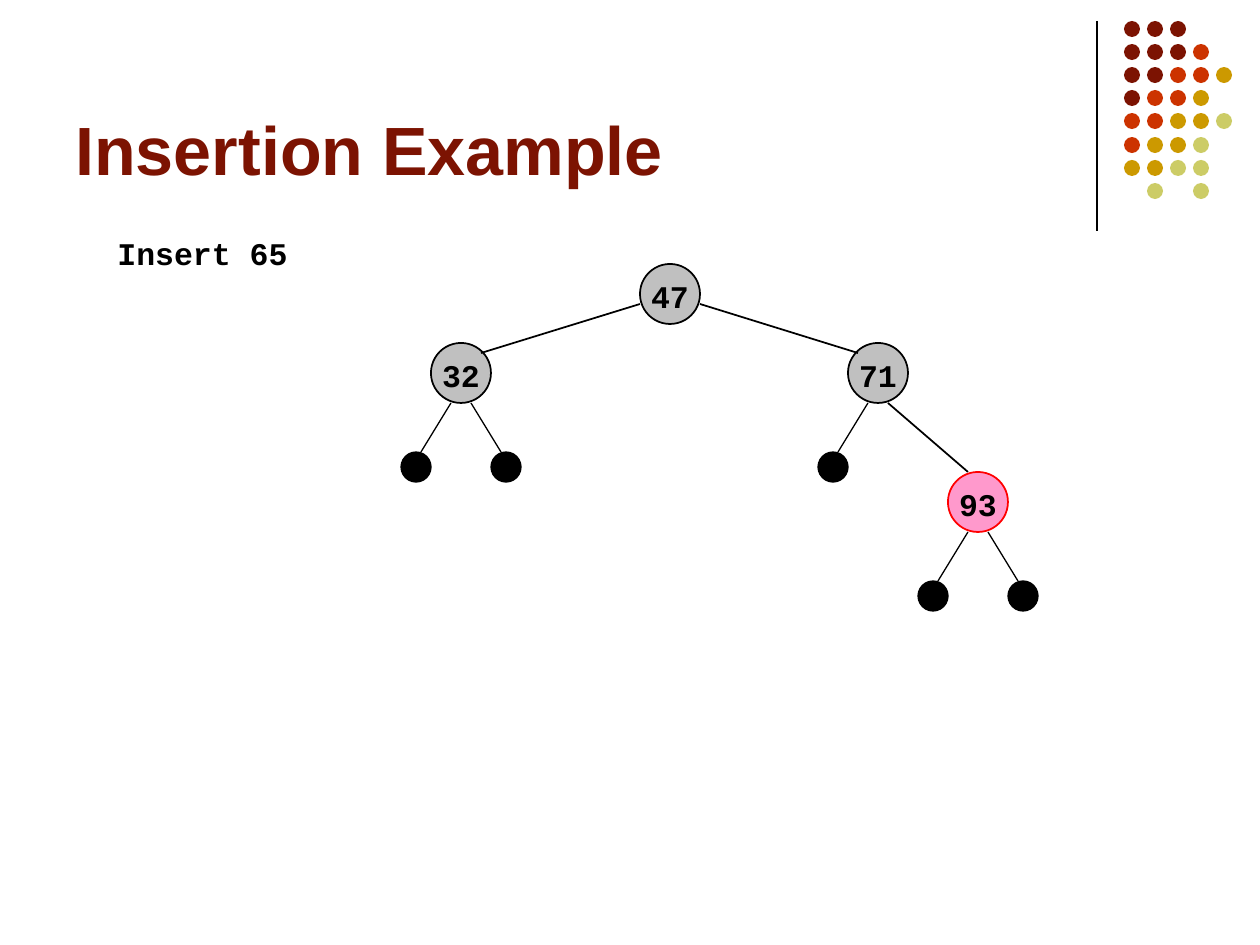
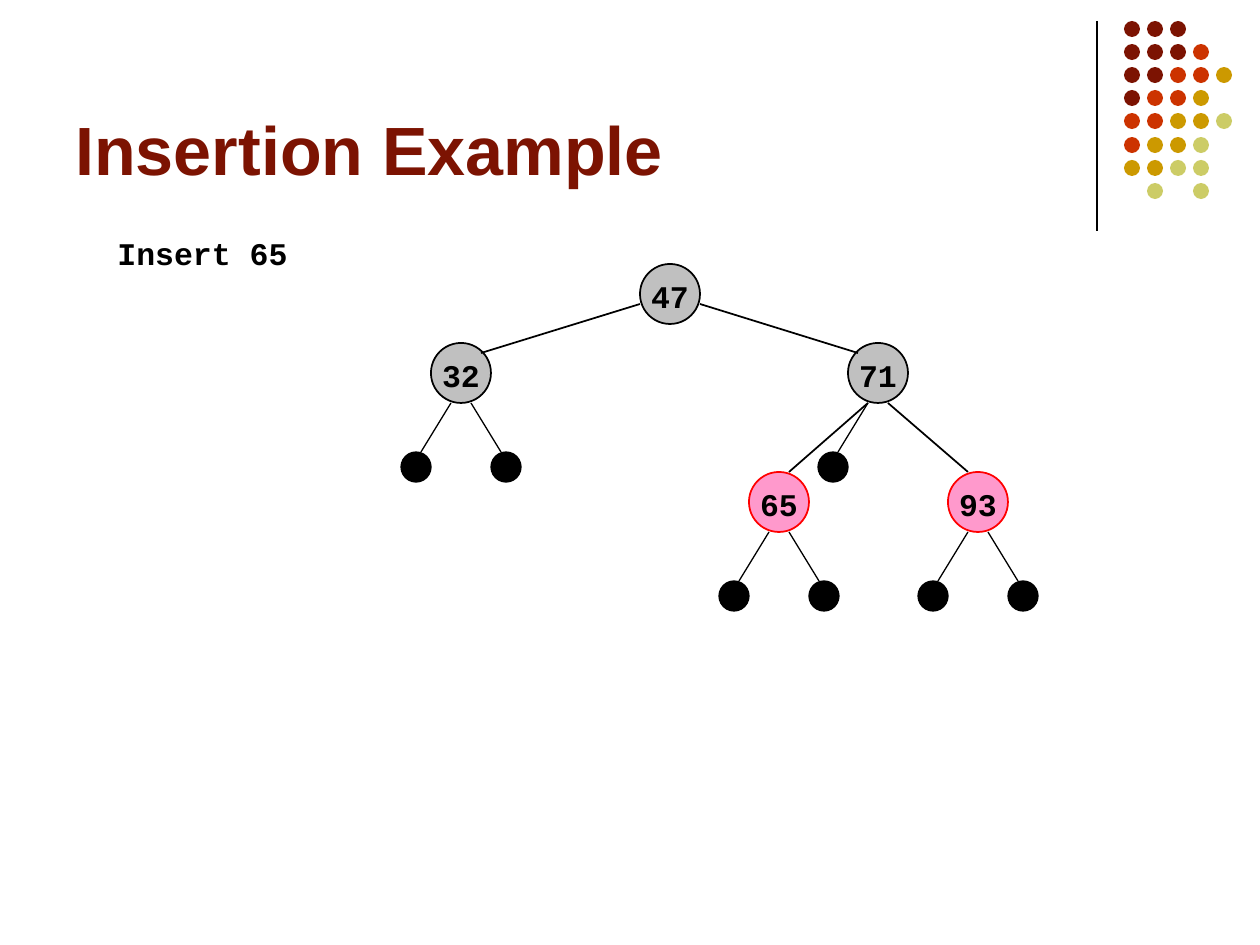
from lxml.etree import SubElement as Sub
from pptx import Presentation
from pptx.dml.color import RGBColor
from pptx.enum.shapes import MSO_CONNECTOR as Link, MSO_SHAPE as Shape
from pptx.enum.text import MSO_ANCHOR as Anchor, PP_ALIGN as Align
from pptx.oxml.ns import qn
from pptx.util import Pt

UNIT = 914400 / 126
BLACK, GREY, PINK, RED = "000000", "C0C0C0", "FF99CC", "FF0000"
TONES = {"a": "7C1302", "b": "CC3300", "c": "CC9900", "d": "CCCC66"}
DOTS = ["aaa", "aaab", "aabbc", "abbc", "bbccd", "bccd", "ccdd", " d d"]
ROOT, LOW, HIGH = (670, 294), (461, 373), (878, 373)
NEW, LAST = (779, 502), (978, 502)


def px(n):
    return round(n * UNIT)


def tint(code):
    return RGBColor.from_string(code)


class Deck:
    title_font, code_font = "Arial", "Courier New"
    node_size, leaf_size, dot_size = 60, 30, 16

    def __init__(self):
        self.show = Presentation()
        self.show.slide_width, self.show.slide_height = px(1260), px(945)
        self.slide = None

    def page(self, title, task):
        self.slide = self.show.slides.add_slide(self.show.slide_layouts[6])
        self.line((1097, 21), (1097, 231), 0.75)
        for row, marks in enumerate(DOTS):
            for col, mark in enumerate(marks):
                if mark in TONES:
                    left, top = (1124 + col * 116 // 5, 21 + row * 116 // 5)
                    half = self.dot_size // 2
                    self.disc((left + half, top + half), self.dot_size, TONES[mark])
        self.text(title, (63, 16, 1040, 179), self.title_font, 39, TONES["a"], Anchor.BOTTOM)
        self.text(task, (105, 228, 328, 50), self.code_font, 18, BLACK, Anchor.TOP)

    def style(self, frame, text, font, size, color):
        frame.text = text
        face = frame.paragraphs[0].runs[0].font
        face.name, face.size, face.bold = font, Pt(size), True
        face.color.rgb = tint(color)

    def text(self, text, box, font, size, color, anchor):
        frame = self.slide.shapes.add_textbox(*map(px, box)).text_frame
        frame.word_wrap = True
        frame.vertical_anchor = anchor
        self.style(frame, text, font, size, color)

    def line(self, start, end, width):
        link = self.slide.shapes.add_connector(Link.STRAIGHT, *map(px, start + end))
        link.line.color.rgb = tint(BLACK)
        link.line.width = Pt(width)
        Sub(link._element.spPr, qn("a:effectLst"))

    def disc(self, mid, size, fill, edge=None, width=0.75):
        x, y = mid
        half = size // 2
        disc = self.slide.shapes.add_shape(
            Shape.OVAL, px(x - half), px(y - half), px(size), px(size))
        disc.shadow.inherit = False
        disc.fill.solid()
        disc.fill.fore_color.rgb = tint(fill)
        if edge:
            disc.line.color.rgb = tint(edge)
            disc.line.width = Pt(width)
        else:
            disc.line.fill.background()
        return disc

    def node(self, text, mid, fill=GREY, edge=BLACK):
        frame = self.disc(mid, self.node_size, fill, edge, 1).text_frame
        frame.margin_left = frame.margin_right = frame.margin_bottom = 0
        frame.margin_top = px(4)
        frame.word_wrap = False
        frame.vertical_anchor = Anchor.MIDDLE
        self.style(frame, text, self.code_font, 18, BLACK)
        frame.paragraphs[0].alignment = Align.CENTER

    def leaf(self, mid, side):
        x, y = mid
        self.line((x + side * 10, y + 30), (x + side * 40, y + 79), 0.75)
        self.disc((x + side * 45, y + 94), self.leaf_size, BLACK, BLACK)

    def pair(self, mid):
        for side in (-1, 1):
            self.leaf(mid, side)

    def wide(self, top, low, side):
        self.line((top[0] + side * 30, top[1] + 10), (low[0] - side * 20, low[1] - 20), 1)

    def steep(self, top, low, side):
        self.line((top[0] + side * 10, top[1] + 30), (low[0] - side * 10, low[1] - 30), 1)

    def tree(self):
        for text, mid in (("47", ROOT), ("71", HIGH), ("32", LOW)):
            self.node(text, mid)
        self.wide(ROOT, LOW, -1)
        self.wide(ROOT, HIGH, 1)
        self.pair(LOW)
        self.leaf(HIGH, -1)
        self.child("93", LAST, 1)

    def child(self, text, mid, side):
        self.node(text, mid, PINK, RED)
        self.steep(HIGH, mid, side)
        self.pair(mid)


def main():
    deck = Deck()
    for added in (False, True):
        deck.page("Insertion Example", "Insert 65")
        deck.tree()
        if added:
            deck.child("65", NEW, -1)
    deck.show.save("out.pptx")


if __name__ == "__main__":
    main()
